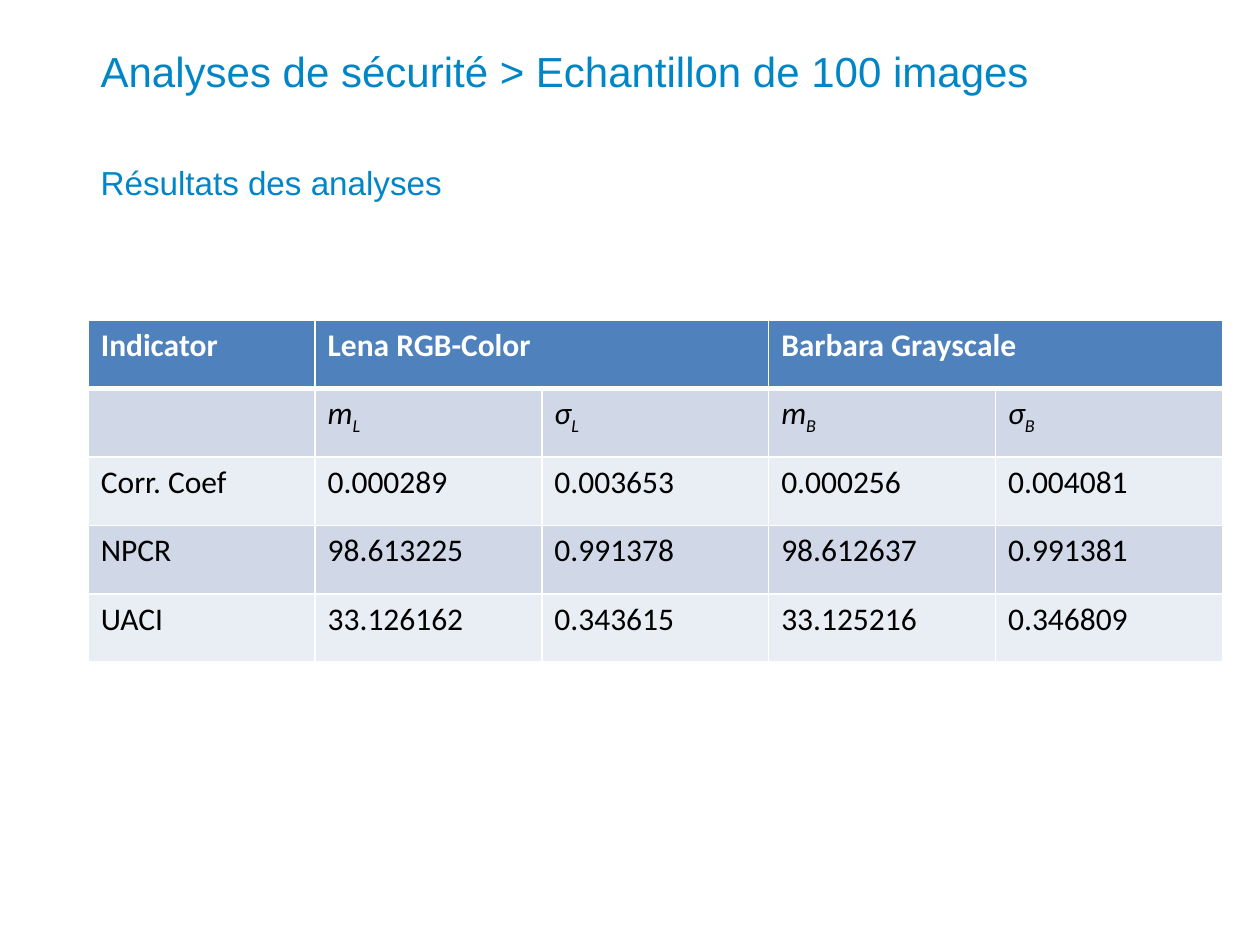
import pptx
import pptx.dml.color
import pptx.enum.text
import pptx.util
from lxml import etree
from pptx.oxml.ns import qn
from pptx.util import Cm, Pt


class Theme:
    heading_font, body_font = "Arial", "Calibri"
    title_size, subtitle_size, table_size = 24, 19, 18
    heading, white, black = "0086C7", "FFFFFF", "000000"
    header_fill, band_fills = "4F81BD", ("D0D8E8", "E9EDF4")
    thin_line, header_line = 1, 3


LEFT, WIDTH = 1.78, 22.86
HEADERS = ["Indicator", "Lena RGB-Color", "Barbara Grayscale"]
SYMBOLS = ["mL", "σL", "mB", "σB"]
RESULTS = [
    ["Corr. Coef", "0.000289", "0.003653", "0.000256", "0.004081"],
    ["NPCR", "98.613225", "0.991378", "98.612637", "0.991381"],
    ["UACI", "33.126162", "0.343615", "33.125216", "0.346809"],
]


def rgb(code):
    return pptx.dml.color.RGBColor.from_string(code)


def add_span(para, text, color, **formats):
    span = para.add_run()
    span.text = text
    span.font.color.rgb = rgb(color)
    for name, value in formats.items():
        setattr(span.font, name, value)
    return span


def add_heading(page, box, text, size):
    frame = page.shapes.add_textbox(*map(Cm, box)).text_frame
    frame.word_wrap = True
    frame.vertical_anchor = pptx.enum.text.MSO_ANCHOR.TOP
    add_span(frame.paragraphs[0], text, Theme.heading,
             name=Theme.heading_font, size=Pt(size))


def style_cell(cell, fill, bottom_line):
    """Draw the white borders, then the fill, in the order the format requires."""
    properties = cell._tc.get_or_add_tcPr()
    for side in "LRTB":
        width = bottom_line if side == "B" else Theme.thin_line
        line = etree.SubElement(properties, qn(f"a:ln{side}"), w=str(Pt(width)))
        solid = etree.SubElement(line, qn("a:solidFill"))
        etree.SubElement(solid, qn("a:srgbClr"), val=Theme.white)
    cell.fill.solid()
    cell.fill.fore_color.rgb = rgb(fill)


def write_cell(cell, text, color=Theme.black, bold=False):
    add_span(cell.text_frame.paragraphs[0], text, color,
             name=Theme.body_font, size=Pt(Theme.table_size), bold=bold)


def write_symbol(cell, symbol):
    """Write an italic letter followed by its subscript."""
    for letter, baseline in zip(symbol, (0, -25000)):
        span = add_span(cell.text_frame.paragraphs[0], letter, Theme.black,
                        name=Theme.body_font, size=Pt(Theme.table_size),
                        bold=False, italic=True)
        span.font._element.set("baseline", str(baseline))


def add_results_table(page, box):
    row_count, column_count = len(RESULTS) + 2, len(RESULTS[0])
    table = page.shapes.add_table(row_count, column_count, *map(Cm, box)).table
    for row in range(row_count):
        for column in range(column_count):
            if row == 0:
                fill, bottom_line = Theme.header_fill, Theme.header_line
            else:
                fill, bottom_line = Theme.band_fills[(row - 1) % 2], Theme.thin_line
            style_cell(table.cell(row, column), fill, bottom_line)

    for column, header in zip((0, 1, 3), HEADERS):
        if column:
            table.cell(0, column).merge(table.cell(0, column + 1))
        write_cell(table.cell(0, column), header, Theme.white, bold=True)
    for column, symbol in enumerate(SYMBOLS, start=1):
        write_symbol(table.cell(1, column), symbol)
    for row, values in enumerate(RESULTS, start=2):
        for column, value in enumerate(values):
            write_cell(table.cell(row, column), value)


def main():
    deck = pptx.Presentation()
    deck.slide_width, deck.slide_height = Cm(25.4), Cm(19.05)
    page = deck.slides.add_slide(deck.slide_layouts[6])
    add_heading(page, (LEFT, 0.79, WIDTH, 3.18),
                "Analyses de sécurité > Echantillon de 100 images", Theme.title_size)
    add_heading(page, (LEFT, 3.15, WIDTH, 1.35),
                "Résultats des analyses", Theme.subtitle_size)
    add_results_table(page, (LEFT, 6.45, WIDTH, 6.9))
    deck.save("out.pptx")


if __name__ == "__main__":
    main()
